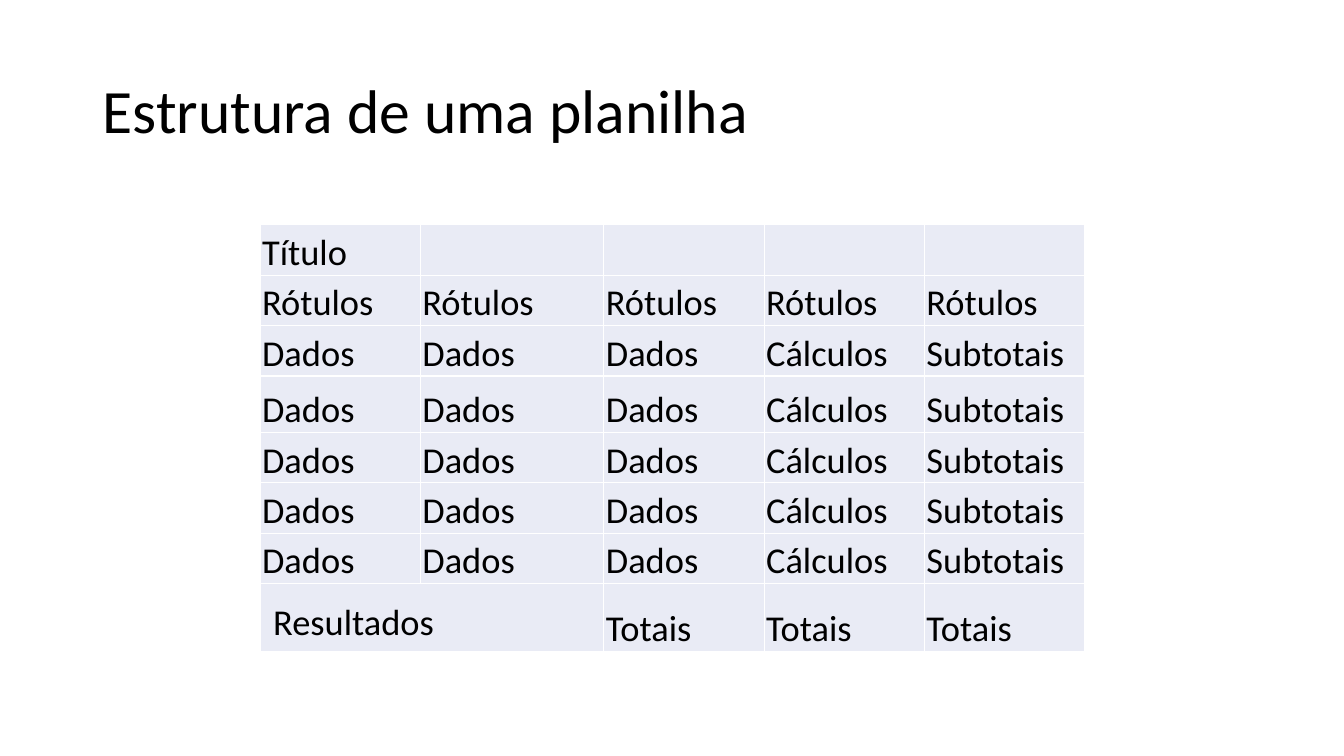
import dataclasses

import lxml.etree
import pptx
import pptx.dml.color
import pptx.enum.text
import pptx.oxml.ns
import pptx.util

Inches = pptx.util.Inches


@dataclasses.dataclass(frozen=True)
class Theme:
    font: str = "Calibri"
    text: str = "000000"
    cell: str = "E9EBF5"
    border: str = "FFFFFF"
    title_size: int = 44
    cell_size: int = 26
    border_width: int = 1


THEME = Theme()
COLUMN_WIDTHS = [1.59, 1.82, 1.59, 1.59, 1.59]
ROW_HEIGHTS = [0.5, 0.5, 0.5, 0.56, 0.5, 0.5, 0.5, 0.67]
DATA_ROW = ["Dados"] * 3 + ["Cálculos", "Subtotais"]
ROWS = [
    ["Título", "", "", "", ""],
    ["Rótulos"] * 5,
    *[DATA_ROW] * 5,
    ["Resultados", ""] + ["Totais"] * 3,
]
CELL_MARGINS = (0.02, 0.02, 0.02, 0)
RESULT_MARGINS = (0.13, 0.06, 0.13, 0.06)


def rgb(value):
    return pptx.dml.color.RGBColor.from_string(value)


def add_run(p, text, size):
    r = p.add_run()
    r.text = text
    r.font.name = THEME.font
    r.font.size = pptx.util.Pt(size)
    r.font.color.rgb = rgb(THEME.text)


def set_borders(cell):
    qn = pptx.oxml.ns.qn
    tc_pr = cell._tc.get_or_add_tcPr()
    for i, side in enumerate(("lnL", "lnR", "lnT", "lnB")):
        ln = lxml.etree.Element(qn(f"a:{side}"), w=str(pptx.util.Pt(THEME.border_width)))
        fill = lxml.etree.SubElement(ln, qn("a:solidFill"))
        lxml.etree.SubElement(fill, qn("a:srgbClr"), val=THEME.border)
        tc_pr.insert(i, ln)


def format_cell(cell, text, margins):
    cell.margin_left, cell.margin_top, cell.margin_right, cell.margin_bottom = map(Inches, margins)
    cell.vertical_anchor = pptx.enum.text.MSO_ANCHOR.BOTTOM
    cell.fill.solid()
    cell.fill.fore_color.rgb = rgb(THEME.cell)
    set_borders(cell)
    if text:
        add_run(cell.text_frame.paragraphs[0], text, THEME.cell_size)


def add_title(slide, text, left, top, width, height):
    sp = slide.shapes.title
    sp.left, sp.top, sp.width, sp.height = map(Inches, (left, top, width, height))
    tf = sp.text_frame
    tf.word_wrap = True
    tf.vertical_anchor = pptx.enum.text.MSO_ANCHOR.MIDDLE
    p = tf.paragraphs[0]
    p.alignment = pptx.enum.text.PP_ALIGN.LEFT
    p.line_spacing = 0.9
    add_run(p, text, THEME.title_size)


def add_sheet(slide, left, top):
    box = map(Inches, (left, top, sum(COLUMN_WIDTHS), sum(ROW_HEIGHTS)))
    table = slide.shapes.add_table(len(ROWS), len(COLUMN_WIDTHS), *box).table
    table.first_row = False
    table.horz_banding = False
    for column, width in zip(table.columns, COLUMN_WIDTHS):
        column.width = Inches(width)
    for row, height, texts in zip(table.rows, ROW_HEIGHTS, ROWS):
        row.height = Inches(height)
        for cell, text in zip(row.cells, texts):
            margins = RESULT_MARGINS if text == "Resultados" else CELL_MARGINS
            format_cell(cell, text, margins)
    last = len(ROWS) - 1
    table.cell(last, 0).merge(table.cell(last, 1))


def main():
    prs = pptx.Presentation()
    prs.slide_width = Inches(13.33)
    prs.slide_height = Inches(7.5)
    slide = prs.slides.add_slide(prs.slide_layouts.get_by_name("Title Only"))
    add_title(slide, "Estrutura de uma planilha", 0.92, 0.4, 11.5, 1.45)
    add_sheet(slide, 2.58, 2.23)
    prs.save("out.pptx")


if __name__ == "__main__":
    main()
